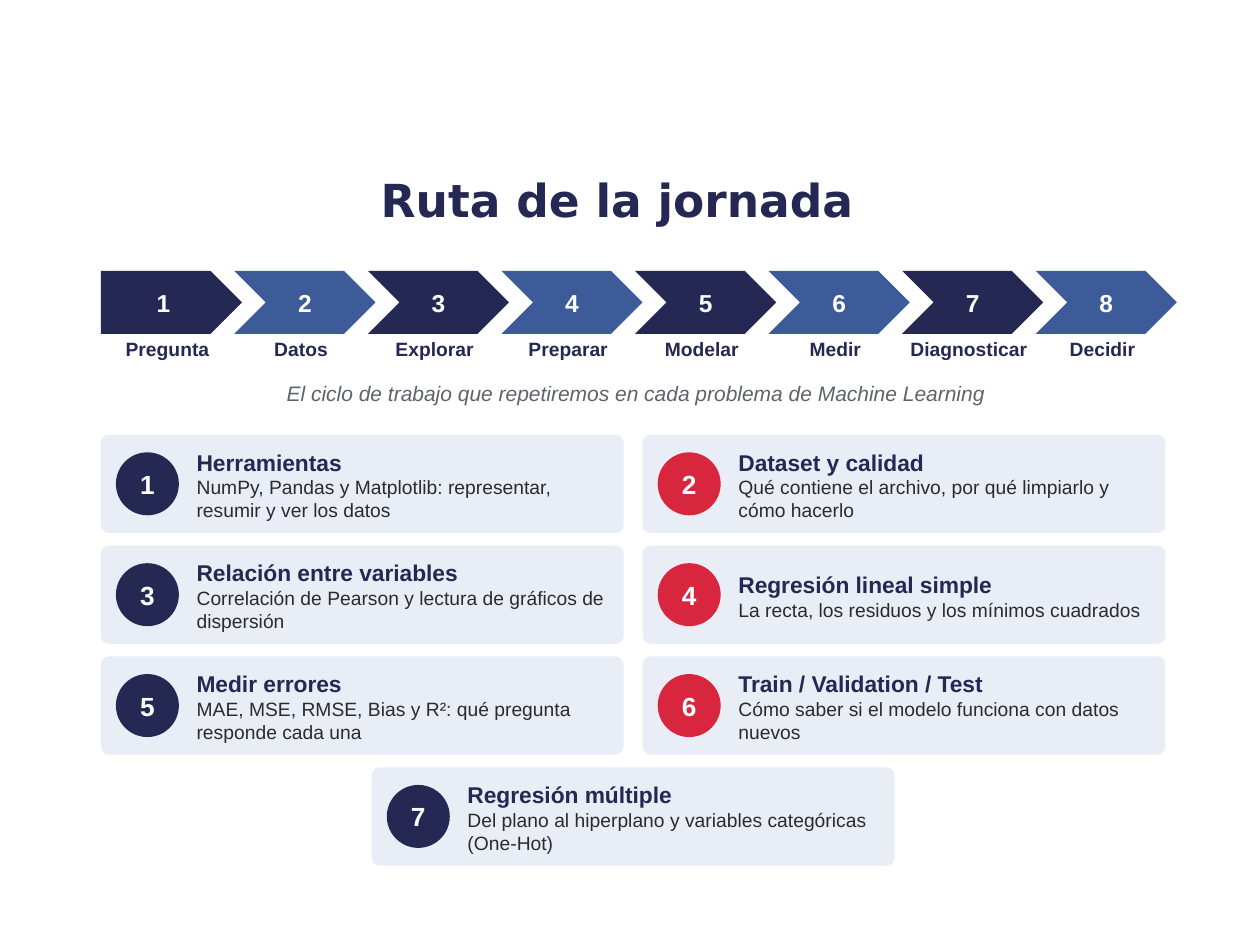
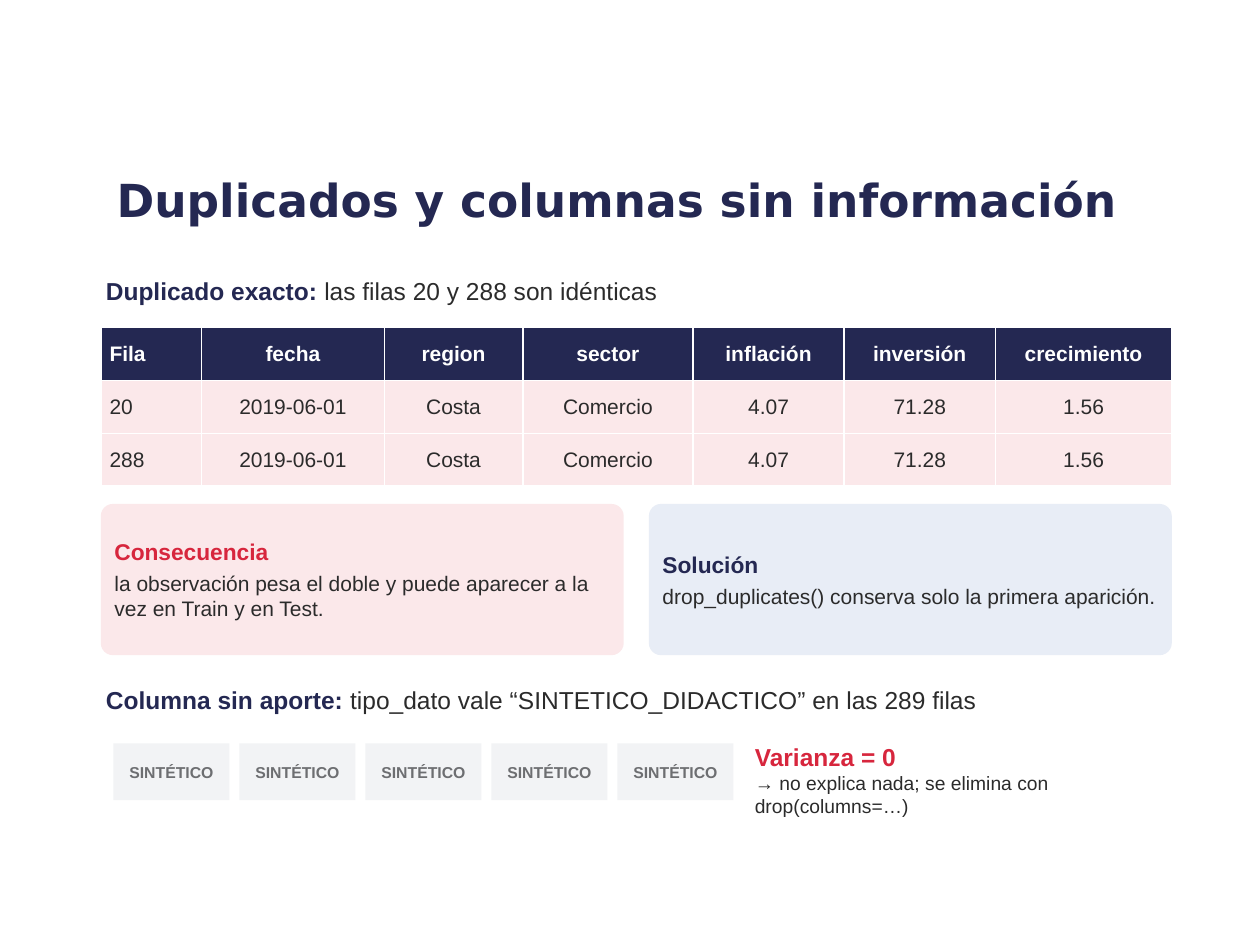
import pptx
import pptx.dml.color
import pptx.enum.shapes
import pptx.enum.text
import pptx.util

Pt = pptx.util.Pt
RGBColor = pptx.dml.color.RGBColor
SHAPE = pptx.enum.shapes.MSO_SHAPE
ALIGN = pptx.enum.text.PP_ALIGN
ANCHOR = pptx.enum.text.MSO_ANCHOR
AUTO_SIZE = pptx.enum.text.MSO_AUTO_SIZE

NAVY = RGBColor(0x24, 0x28, 0x52)
BLUE = RGBColor(0x3D, 0x5A, 0x99)
RED = RGBColor(0xD7, 0x26, 0x3D)
PALE_BLUE = RGBColor(0xE8, 0xED, 0xF6)
PALE_RED = RGBColor(0xFB, 0xE8, 0xEA)
PALE_GRAY = RGBColor(0xF2, 0xF3, 0xF5)
WHITE = RGBColor(0xFF, 0xFF, 0xFF)
INK = RGBColor(0x2B, 0x2B, 0x2B)
CAPTION_GRAY = RGBColor(0x5F, 0x63, 0x68)
CHIP_GRAY = RGBColor(0x6D, 0x6E, 0x71)

BODY_FONT = "Arial"
TITLE_FONT = "DejaVu Sans"
TITLE_BOX = (54, 84.96, 597.6, 57.6)
LEFT = 57.6
CONTENT_WIDTH = 612
CARD_WIDTH = 298.8

STEPS = ["Pregunta", "Datos", "Explorar", "Preparar",
         "Modelar", "Medir", "Diagnosticar", "Decidir"]
TOPICS = [
    ("Herramientas", "NumPy, Pandas y Matplotlib: representar, resumir y ver los datos"),
    ("Dataset y calidad", "Qué contiene el archivo, por qué limpiarlo y cómo hacerlo"),
    ("Relación entre variables", "Correlación de Pearson y lectura de gráficos de dispersión"),
    ("Regresión lineal simple", "La recta, los residuos y los mínimos cuadrados"),
    ("Medir errores", "MAE, MSE, RMSE, Bias y R²: qué pregunta responde cada una"),
    ("Train / Validation / Test", "Cómo saber si el modelo funciona con datos nuevos"),
    ("Regresión múltiple", "Del plano al hiperplano y variables categóricas (One-Hot)"),
]
DUPLICATE_VALUES = ["2019-06-01", "Costa", "Comercio", "4.07", "71.28", "1.56"]
DUPLICATE_ROWS = [
    ["Fila", "fecha", "region", "sector", "inflación", "inversión", "crecimiento"],
    ["20"] + DUPLICATE_VALUES,
    ["288"] + DUPLICATE_VALUES,
]
COLUMN_WIDTHS = [57.6, 104.4, 79.2, 97.2, 86.4, 86.4, 100.8]


def points(box):
    return [Pt(length) for length in box]


def write(frame, text, *, size, color=INK, bold=False, italic=False,
          font=BODY_FONT, align=ALIGN.LEFT, after=0, same_line=False):
    """Add text as a new paragraph, or as a run of the last one if same_line."""
    paragraph = frame.paragraphs[-1]
    if paragraph.runs and not same_line:
        paragraph = frame.add_paragraph()
    paragraph.alignment = align
    paragraph.space_after = Pt(after)
    run = paragraph.add_run()
    run.text = text
    run.font.name = font
    run.font.size = Pt(size)
    run.font.bold = bold
    run.font.italic = italic
    run.font.color.rgb = color


def set_frame(frame, inset, anchor):
    frame.word_wrap = True
    frame.vertical_anchor = anchor
    frame.margin_left = frame.margin_right = Pt(inset)
    frame.margin_top = frame.margin_bottom = Pt(inset)


def add_text_area(slide, box, inset=2.88, anchor=ANCHOR.TOP):
    frame = slide.shapes.add_textbox(*points(box)).text_frame
    set_frame(frame, inset, anchor)
    frame.auto_size = AUTO_SIZE.SHAPE_TO_FIT_TEXT
    return frame


def add_panel(slide, kind, box, fill, inset=0):
    """Draw a plain filled shape and return its text frame."""
    panel = slide.shapes.add_shape(kind, *points(box))
    panel.shadow.inherit = False
    panel.fill.solid()
    panel.fill.fore_color.rgb = fill
    panel.line.fill.background()
    if kind == SHAPE.ROUNDED_RECTANGLE:
        panel.adjustments[0] = 0.08
    set_frame(panel.text_frame, inset, ANCHOR.MIDDLE)
    return panel.text_frame


def add_titled_slide(deck, heading):
    slide = deck.slides.add_slide(deck.slide_layouts.get_by_name("Title Only"))
    title = slide.shapes.title
    title.left, title.top, title.width, title.height = points(TITLE_BOX)
    title.text_frame.vertical_anchor = ANCHOR.MIDDLE
    title.text_frame.auto_size = AUTO_SIZE.NONE
    write(title.text_frame, heading, size=26, color=NAVY, bold=True,
          font=TITLE_FONT, align=ALIGN.CENTER)
    return slide


def add_step_chain(slide, left, top):
    pitch = 76.32
    for index, step in enumerate(STEPS):
        x = left + index * pitch
        kind = SHAPE.CHEVRON if index else SHAPE.PENTAGON
        arrow = add_panel(slide, kind, (x, top, 80.64, 36), BLUE if index % 2 else NAVY)
        write(arrow, str(index + 1), size=14, color=WHITE, bold=True,
              align=ALIGN.CENTER, after=3)
        label = add_text_area(slide, (x - 3.6, top + 38.16, 83.52, 21.6), inset=0)
        write(label, step, size=11, color=NAVY, bold=True, align=ALIGN.CENTER, after=4)


def add_topic_card(slide, left, top, number, topic, summary):
    add_panel(slide, SHAPE.ROUNDED_RECTANGLE, (left, top, CARD_WIDTH, 56.16), PALE_BLUE)
    badge = add_panel(slide, SHAPE.OVAL, (left + 8.64, top + 10.08, 36, 36),
                      NAVY if number % 2 else RED)
    write(badge, str(number), size=15, color=WHITE, bold=True,
          align=ALIGN.CENTER, after=3)
    description = add_text_area(slide, (left + 51.84, top + 3.6, 241.2, 50.4),
                                anchor=ANCHOR.MIDDLE)
    write(description, topic, size=13, color=NAVY, bold=True)
    write(description, summary, size=11)


def add_topic_grid(slide, left, top):
    """Place the topics in two columns, with an odd last one centred."""
    column_pitch, row_pitch = 309.6, 63.36
    for index, (topic, summary) in enumerate(TOPICS):
        row, column = divmod(index, 2)
        if column == 0 and index == len(TOPICS) - 1:
            column = 0.5
        add_topic_card(slide, left + column * column_pitch, top + row * row_pitch,
                       index + 1, topic, summary)


def add_finding(slide, top, label, finding):
    line = add_text_area(slide, (LEFT, top, CONTENT_WIDTH, 28.8))
    write(line, label, size=14, color=NAVY, bold=True, after=4)
    write(line, finding, size=14, after=4, same_line=True)


def add_duplicates_table(slide, box):
    table = slide.shapes.add_table(len(DUPLICATE_ROWS), len(COLUMN_WIDTHS),
                                   *points(box)).table
    for column, width in zip(table.columns, COLUMN_WIDTHS):
        column.width = Pt(width)
    for r, values in enumerate(DUPLICATE_ROWS):
        is_header = r == 0
        for c, value in enumerate(values):
            cell = table.cell(r, c)
            cell.fill.solid()
            cell.fill.fore_color.rgb = NAVY if is_header else PALE_RED
            cell.vertical_anchor = ANCHOR.MIDDLE
            cell.margin_left = cell.margin_right = Pt(5.04)
            cell.margin_top = cell.margin_bottom = Pt(2.16)
            write(cell.text_frame, value, size=12, bold=is_header,
                  color=WHITE if is_header else INK,
                  align=ALIGN.CENTER if c else ALIGN.LEFT)


def add_note(slide, left, top, heading, explanation, accent, fill):
    note = add_panel(slide, SHAPE.ROUNDED_RECTANGLE, (left, top, CARD_WIDTH, 86.4),
                     fill, inset=5.76)
    write(note, heading, size=13, color=accent, bold=True, after=3)
    write(note, explanation, size=12, after=3)


def add_constant_column(slide, left, top):
    """Show a row of identical values and what their zero variance implies."""
    for index in range(5):
        chip = add_panel(slide, SHAPE.RECTANGLE, (left + index * 72, top, 66.24, 32.4),
                         PALE_GRAY, inset=5.76)
        write(chip, "SINTÉTICO", size=9, color=CHIP_GRAY, bold=True,
              align=ALIGN.CENTER, after=3)
    verdict = add_text_area(slide, (left + 363.6, top - 3.6, 241.2, 64.8))
    write(verdict, "Varianza = 0", size=14, color=RED, bold=True)
    write(verdict, "→ no explica nada; se elimina con drop(columns=…)", size=11)


def build_route_slide(deck):
    slide = add_titled_slide(deck, "Ruta de la jornada")
    add_step_chain(slide, LEFT, 154.8)
    caption = add_text_area(slide, (LEFT, 214.56, CONTENT_WIDTH, 28.8))
    write(caption, "El ciclo de trabajo que repetiremos en cada problema de Machine Learning",
          size=12, color=CAPTION_GRAY, italic=True, align=ALIGN.CENTER, after=4)
    add_topic_grid(slide, LEFT, 248.4)


def build_duplicates_slide(deck):
    slide = add_titled_slide(deck, "Duplicados y columnas sin información")
    add_finding(slide, 154.8, "Duplicado exacto: ", "las filas 20 y 288 son idénticas")
    add_duplicates_table(slide, (LEFT, 187.2, CONTENT_WIDTH, 90.72))
    add_note(slide, LEFT, 288, "Consecuencia",
             "la observación pesa el doble y puede aparecer a la vez en Train y en Test.",
             RED, PALE_RED)
    add_note(slide, LEFT + CONTENT_WIDTH - CARD_WIDTH, 288, "Solución",
             "drop_duplicates() conserva solo la primera aparición.", NAVY, PALE_BLUE)
    add_finding(slide, 388.8, "Columna sin aporte: ",
                "tipo_dato vale “SINTETICO_DIDACTICO” en las 289 filas")
    add_constant_column(slide, 64.8, 424.8)


def main():
    deck = pptx.Presentation()
    deck.slide_width, deck.slide_height = Pt(720), Pt(540)
    build_route_slide(deck)
    build_duplicates_slide(deck)
    deck.save("out.pptx")


if __name__ == "__main__":
    main()
